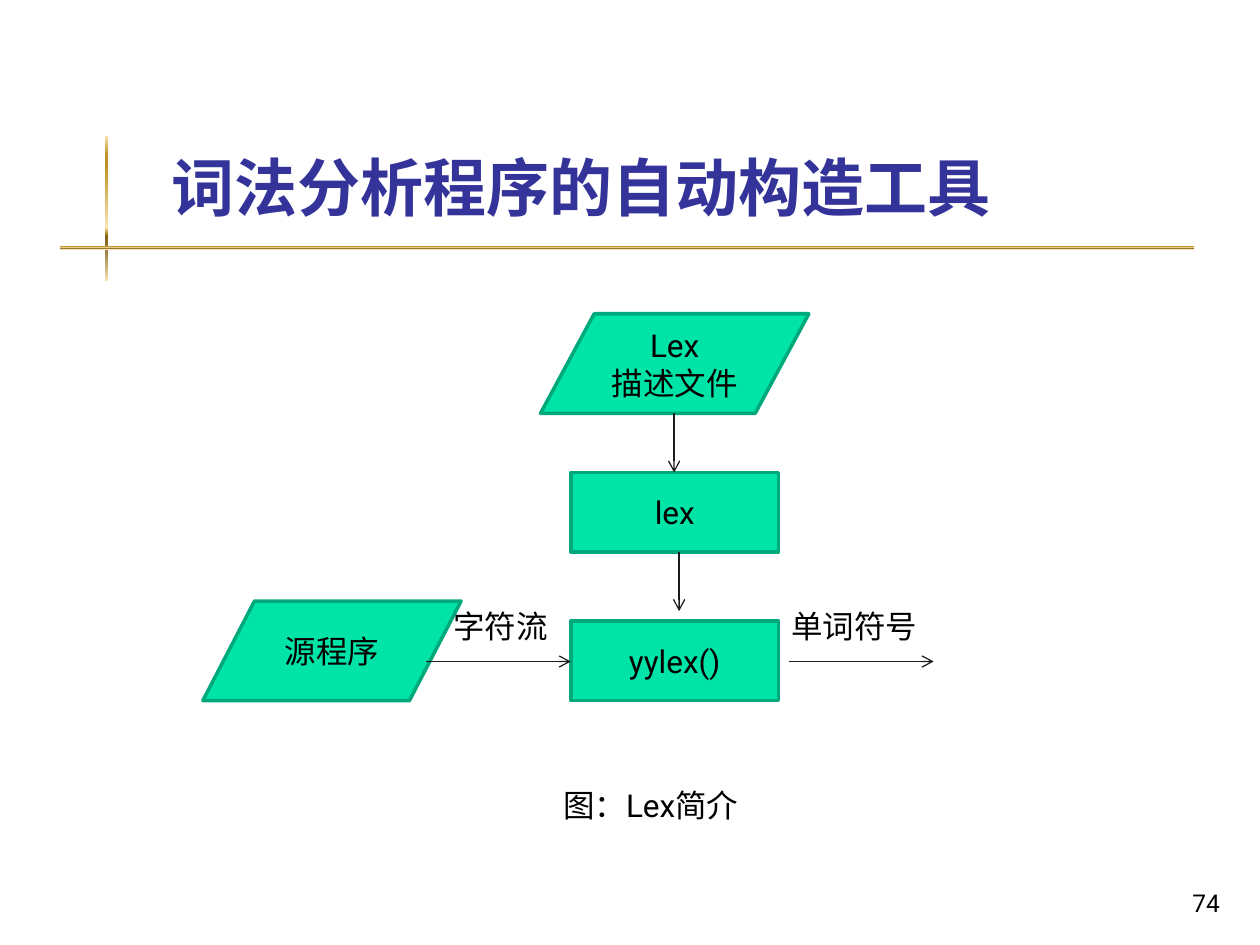
from lxml.etree import SubElement
from pptx import Presentation
from pptx.dml.color import RGBColor
from pptx.enum.shapes import MSO_CONNECTOR, MSO_SHAPE
from pptx.enum.text import MSO_ANCHOR, PP_ALIGN
from pptx.oxml.ns import qn
from pptx.util import Inches, Pt

COLORS = {"title": "333399", "text": "000000", "fill": "00E4A8",
          "edge": "00A97C", "arrow": "1C1C1C"}
GOLD = [(0, "FBE4AE"), (13, "BD922A"), (21, "BD922A"), (63, "FBE4AE"),
        (67, "BD922A"), (69, "835E17"), (82, "A28949"), (100, "FAE3B7")]
LATIN, HAN = "Roboto", "Noto Sans CJK JP"


def rgb(name):
    return RGBColor.from_string(COLORS[name])


def write(shape, lines, size=18, color="text", bold=False, font=LATIN,
          align=PP_ALIGN.LEFT, anchor=MSO_ANCHOR.TOP):
    frame = shape.text_frame
    frame.word_wrap = True
    frame.vertical_anchor = anchor
    for i, line in enumerate(lines):
        para = frame.add_paragraph() if i else frame.paragraphs[0]
        para.alignment = align
        run = para.add_run()
        run.text = line
        run.font.size = Pt(size)
        run.font.bold = bold
        run.font.name = font
        run.font.color.rgb = rgb(color)
        SubElement(run.font._element, qn("a:ea"), typeface=HAN)


def label(slide, box, text, **style):
    area = slide.shapes.add_textbox(*map(Inches, box))
    write(area, [text], **style)


def bar(slide, box):
    """Add a rule with the vertical gold gradient."""
    rule = slide.shapes.add_shape(MSO_SHAPE.RECTANGLE, *map(Inches, box))
    rule.shadow.inherit = False
    rule.line.fill.background()
    rule.fill.gradient()
    rule.fill.gradient_angle = 270
    stops = rule._element.spPr.find(qn("a:gradFill")).find(qn("a:gsLst"))
    for old in list(stops):
        stops.remove(old)
    for pos, color in GOLD:
        stop = SubElement(stops, qn("a:gs"), pos=str(pos * 1000))
        SubElement(stop, qn("a:srgbClr"), val=color)


def node(slide, kind, box, *lines):
    shape = slide.shapes.add_shape(kind, *map(Inches, box))
    shape.shadow.inherit = False
    shape.fill.solid()
    shape.fill.fore_color.rgb = rgb("fill")
    shape.line.color.rgb = rgb("edge")
    shape.line.width = Pt(2)
    write(shape, lines, align=PP_ALIGN.CENTER, anchor=MSO_ANCHOR.MIDDLE)


def arrow(slide, x, y, dx=0, dy=0):
    ends = map(Inches, (x, y, x + dx, y + dy))
    link = slide.shapes.add_connector(MSO_CONNECTOR.STRAIGHT, *ends)
    link.line.color.rgb = rgb("arrow")
    link.line.width = Pt(0.75)
    SubElement(link.line._get_or_add_ln(), qn("a:tailEnd"), type="arrow")
    SubElement(link._element.spPr, qn("a:effectLst"))


def header(slide, x, y, w, h):
    bar(slide, (x + 0.35, y, 0.03, h))
    bar(slide, (x, y + 0.87, w, 0.03))
    label(slide, (x + 0.78, y - 0.85, 8.52, 1.6), "词法分析程序的自动构造工具",
          size=36, color="title", bold=True, font=HAN,
          anchor=MSO_ANCHOR.BOTTOM)


def diagram(slide, x, y):
    """Draw the flow from the Lex file down, and from source to tokens."""
    data, step = MSO_SHAPE.FLOWCHART_DATA, MSO_SHAPE.RECTANGLE
    mid, flow = x + 2.92, y + 2.76
    node(slide, step, (mid, y + 1.26, 1.65, 0.63), "lex")
    node(slide, step, (mid, y + 2.44, 1.65, 0.63), "yylex()")
    node(slide, data, (x + 2.68, y, 2.13, 0.79), "Lex", "描述文件")
    node(slide, data, (x, y + 2.28, 2.05, 0.79), "源程序")
    arrow(slide, x + 1.77, flow, dx=1.15)
    arrow(slide, x + 4.65, flow, dx=1.15)
    arrow(slide, x + 3.74, y + 0.79, dy=0.47)
    arrow(slide, x + 3.78, y + 1.89, dy=0.47)
    label(slide, (x + 1.89, y + 2.28, 1.02, 0.4), "字符流")
    label(slide, (x + 4.57, y + 2.28, 1.34, 0.4), "单词符号")
    label(slide, (x + 2.76, y + 3.7, 1.65, 0.4), "图：Lex简介")


def main():
    deck = Presentation()
    deck.slide_width, deck.slide_height = Inches(10), Inches(7.5)
    slide = deck.slides.add_slide(deck.slide_layouts[6])
    header(slide, 0.48, 1.08, 9, 1.15)
    diagram(slide, 1.61, 2.49)
    label(slide, (7.7, 6.83, 2.08, 0.5), "74", size=14,
          align=PP_ALIGN.RIGHT, anchor=MSO_ANCHOR.BOTTOM)
    deck.save("out.pptx")


if __name__ == "__main__":
    main()
